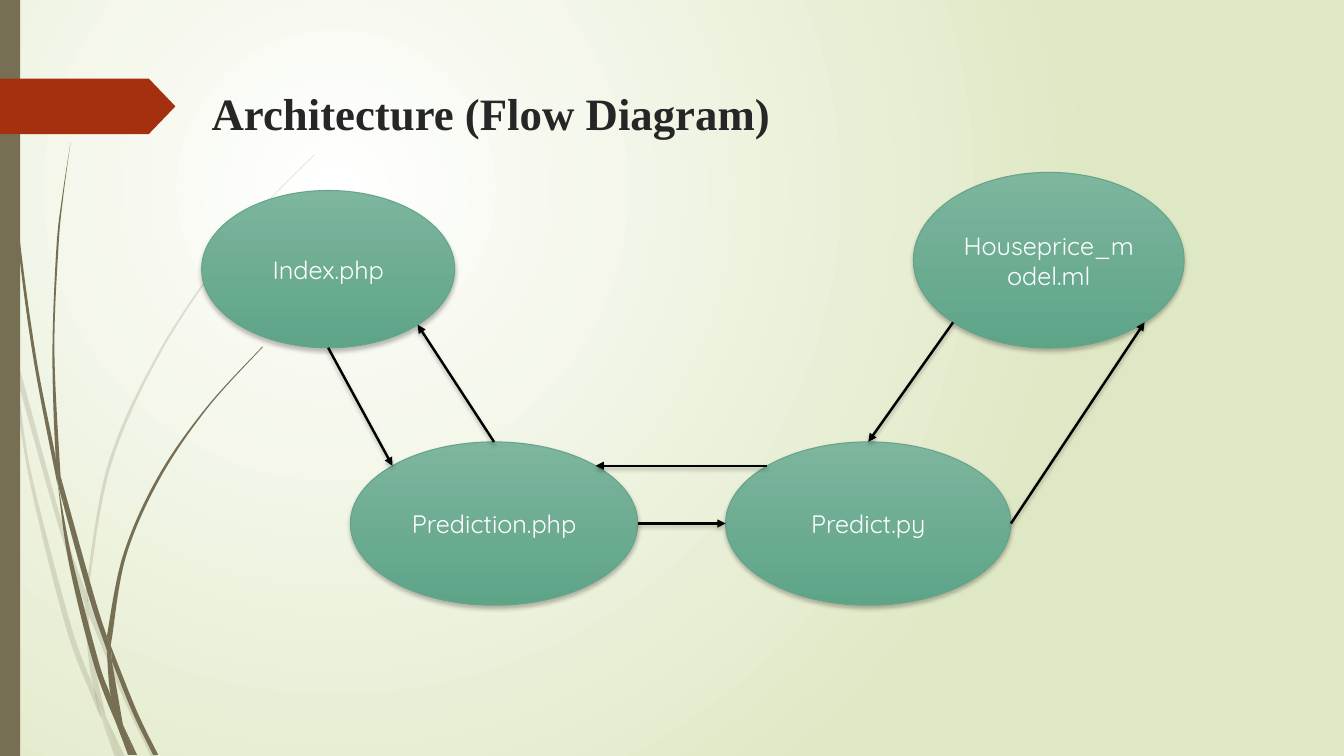
from dataclasses import dataclass
from math import cos, radians, sin

from lxml import etree
from pptx import Presentation
from pptx.dml.color import RGBColor
from pptx.enum.shapes import MSO_CONNECTOR, MSO_SHAPE
from pptx.enum.text import MSO_ANCHOR, PP_ALIGN
from pptx.oxml.ns import qn
from pptx.util import Inches, Pt

STRAIGHT = MSO_CONNECTOR.STRAIGHT
ELLIPSE, BAR, BADGE = MSO_SHAPE.OVAL, MSO_SHAPE.RECTANGLE, MSO_SHAPE.PENTAGON
MIDDLE, CENTER = MSO_ANCHOR.MIDDLE, PP_ALIGN.CENTER

# The slide is a grid of square cells, a hundredth of an inch wide.
COLUMNS, ROWS = 1333, 750
OLIVE, RUST, INK, WHITE, BLACK = "766F54", "A53010", "262626", "FFFFFF", "000000"
MINT, GREEN, GREEN_EDGE, MEADOW = "7DB59D", "5EA588", "65A48B", "DFE8C4"

# Angles on an ellipse, clockwise from its right end
RIGHT, LOWER_RIGHT, BOTTOM, LOWER_LEFT = 0, 45, 90, 135
LEFT, UPPER_LEFT, TOP, UPPER_RIGHT = 180, 225, 270, 315

Point = tuple[float, float]
Edge = list[Point]


@dataclass(frozen=True)
class Node:
    label: str
    column: float
    row: float
    columns: float
    rows: float

    def site(self, angle: int) -> Point:
        """Grid point on the outline at the given angle."""
        return (self.column + self.columns / 2 * (1 + cos(radians(angle))),
                self.row + self.rows / 2 * (1 + sin(radians(angle))))


@dataclass(frozen=True)
class Flow:
    source: Node
    leaves: int
    target: Node
    enters: int


INDEX = Node("Index.php", 200, 189, 251, 156)
PREDICTION = Node("Prediction.php", 347.5, 438.4, 285, 162)
PREDICT = Node("Predict.py", 719.7, 438.4, 283, 162)
MODEL = Node("Houseprice_model.ml", 906, 171, 268.5, 174.3)

FLOWS = [
    Flow(INDEX, BOTTOM, PREDICTION, UPPER_LEFT),
    Flow(PREDICTION, RIGHT, PREDICT, LEFT),
    Flow(PREDICT, RIGHT, MODEL, LOWER_RIGHT),
    Flow(MODEL, LOWER_LEFT, PREDICT, TOP),
    Flow(PREDICT, UPPER_LEFT, PREDICTION, UPPER_RIGHT),
    Flow(PREDICTION, TOP, INDEX, LOWER_RIGHT),
]

# Each piece of grass is a left and a right edge, both from the top down.
FAINT_GRASS: list[tuple[Edge, Edge]] = [
    ([(0, 299), (10, 344), (11, 350)], [(0, 282), (9, 322), (11, 350)]),
    ([(17, 376), (58, 522), (84, 599)], [(14, 345), (62, 520), (85, 586)]),
    ([(88, 610), (123, 694), (150, 751)], [(88, 596), (92, 607), (127, 692), (155, 751)]),
    ([(105, 711), (119, 751)], [(105, 711), (124, 751)]),
    ([(11, 350), (28, 470), (65, 621), (92, 693), (101, 714)],
     [(11, 350), (17, 376), (31, 469), (70, 619), (93, 683), (101, 714)]),
    ([(84, 599), (87, 646), (93, 683), (105, 711)], [(88, 610), (91, 646), (105, 711)]),
    ([(312, 153), (268, 197), (228, 244), (158, 348), (107, 461), (85, 586)],
     [(312, 154), (268, 198), (229, 245), (160, 349), (110, 462), (88, 584), (88, 596)]),
    ([(101, 714), (114, 751)], [(101, 714), (119, 751)]),
    ([(85, 586), (84, 599)], [(88, 596), (88, 610)]),
    ([(93, 683), (99, 707), (119, 751)], [(93, 683), (105, 711), (119, 751)]),
]
DARK_GRASS: list[tuple[Edge, Edge]] = [
    ([(3, 0), (7, 110), (17, 233), (33, 355), (57, 481)],
     [(4, 0), (8, 109), (19, 232), (36, 355), (55, 453), (57, 481)]),
    ([(64, 505), (88, 592), (106, 645)], [(60, 472), (93, 590), (106, 631)]),
    ([(111, 656), (132, 708), (152, 749)], [(110, 641), (136, 706), (157, 749)]),
    ([(57, 477), (68, 557), (93, 659), (117, 722)],
     [(57, 477), (72, 556), (98, 657), (110, 691), (117, 722)]),
    ([(70, 141), (62, 193), (56, 245), (52, 349), (55, 449), (60, 472)],
     [(70, 141), (63, 193), (58, 245), (54, 349), (60, 472)]),
    ([(122, 719), (133, 749)], [(122, 719), (136, 749)]),
    ([(55, 449), (57, 477), (64, 505)], [(55, 449), (60, 472), (64, 505)]),
    ([(260, 344), (204, 405), (156, 474), (122, 551), (106, 631)],
     [(261, 344), (205, 406), (158, 476), (125, 552), (111, 633), (110, 641)]),
    ([(117, 722), (127, 749)], [(117, 722), (131, 749)]),
    ([(106, 645), (110, 691), (122, 719)], [(111, 656), (122, 719)]),
    ([(106, 631), (106, 645)], [(110, 641), (111, 656)]),
    ([(110, 691), (117, 722), (130, 749)], [(110, 691), (122, 719), (133, 749)]),
]


def grid(cells: float) -> int:
    return Inches(cells / 100)


def colour(hex_code: str) -> RGBColor:
    return RGBColor.from_string(hex_code)


def set_gradient(fill, start: str, end: str) -> None:
    fill.gradient()
    for stop, position, hex_code in zip(fill.gradient_stops, (0, 1), (start, end)):
        stop.position = position
        stop.color.rgb = colour(hex_code)


def paint_background(slide) -> None:
    """Radial gradient centred a quarter of the way in and down."""
    set_gradient(slide.background.fill, WHITE, MEADOW)
    gradient = slide.element.find(".//" + qn("a:gradFill"))
    gradient.remove(gradient.find(qn("a:lin")))
    circle = etree.SubElement(gradient, qn("a:path"), {"path": "circle"})
    etree.SubElement(circle, qn("a:fillToRect"),
                     {"l": "50000", "t": "50000", "r": "100000", "b": "100000"})


def paint_flat(shape, hex_code: str, opacity: int = 100) -> None:
    shape.shadow.inherit = False
    shape.fill.solid()
    shape.fill.fore_color.rgb = colour(hex_code)
    shape.line.fill.background()
    if opacity < 100:
        tint = shape.element.spPr.find(".//" + qn("a:srgbClr"))
        etree.SubElement(tint, qn("a:alpha"), {"val": str(opacity * 1000)})


def add_soft_shadow(properties) -> None:
    effects = properties.find(qn("a:effectLst"))
    if effects is None:
        effects = etree.SubElement(properties, qn("a:effectLst"))
    shadow = etree.SubElement(effects, qn("a:outerShdw"), {
        "blurRad": str(Pt(3)), "dist": str(Pt(2)), "dir": "5400000", "rotWithShape": "0"})
    black = etree.SubElement(shadow, qn("a:srgbClr"), {"val": BLACK})
    etree.SubElement(black, qn("a:alpha"), {"val": "25000"})


def write(frame, text: str, font: str, size: int, hex_code: str, bold: bool = False) -> None:
    frame.word_wrap = True
    frame.vertical_anchor = MIDDLE
    run = frame.paragraphs[0].add_run()
    run.text = text
    run.font.name, run.font.size, run.font.bold = font, Pt(size), bold
    run.font.color.rgb = colour(hex_code)


def draw_grass(shapes, left: Edge, right: Edge, opacity: int) -> None:
    """Draw a closed outline whose two edges are smooth cubic curves."""
    outline = [(grid(x), grid(y)) for x, y in left + right[::-1]]
    builder = shapes.build_freeform(*outline[0])
    builder.add_line_segments(outline[1:], close=True)
    piece = builder.convert_to_shape()
    paint_flat(piece, OLIVE, opacity)
    segments = piece.element.spPr.findall(".//" + qn("a:lnTo"))
    for edge, first in ((outline[:len(left)], 0), (outline[len(left):], len(left))):
        padded = [edge[0], *edge, edge[-1]]
        for offset, knots in enumerate(zip(padded, padded[1:], padded[2:], padded[3:])):
            controls = [(b + (c - a) / 6, c - (d - b) / 6, c) for a, b, c, d in zip(*knots)]
            segment = segments[first + offset]
            segment.tag = qn("a:cubicBezTo")
            segment.remove(segment[0])
            for x, y in zip(*controls):
                etree.SubElement(segment, qn("a:pt"), {
                    "x": str(round(x - piece.left)), "y": str(round(y - piece.top))})


def draw_node(shapes, node: Node) -> None:
    ellipse = shapes.add_shape(ELLIPSE, grid(node.column), grid(node.row),
                               grid(node.columns), grid(node.rows))
    set_gradient(ellipse.fill, MINT, GREEN)
    ellipse.fill.gradient_angle = 270
    ellipse.line.color.rgb = colour(GREEN_EDGE)
    ellipse.line.width = Pt(0.75)
    ellipse.shadow.inherit = False
    add_soft_shadow(ellipse.element.spPr)
    write(ellipse.text_frame, node.label, "Quicksand", 18, WHITE)
    ellipse.text_frame.paragraphs[0].alignment = CENTER


def draw_flow(shapes, flow: Flow) -> None:
    ends = flow.source.site(flow.leaves) + flow.target.site(flow.enters)
    arrow = shapes.add_connector(STRAIGHT, *map(grid, ends))
    arrow.line.color.rgb = colour(BLACK)
    arrow.line.width = Pt(1.75)
    properties = arrow.element.spPr
    etree.SubElement(properties.find(qn("a:ln")), qn("a:tailEnd"), {"type": "triangle"})
    add_soft_shadow(properties)


def main() -> None:
    deck = Presentation()
    deck.slide_width, deck.slide_height = grid(COLUMNS), grid(ROWS)
    slide = deck.slides.add_slide(deck.slide_layouts[6])
    shapes = slide.shapes
    paint_background(slide)
    for pieces, opacity in ((FAINT_GRASS, 20), (DARK_GRASS, 100)):
        for left, right in pieces:
            draw_grass(shapes, left, right, opacity)
    paint_flat(shapes.add_shape(BAR, 0, 0, grid(20), grid(ROWS)), OLIVE)
    badge = shapes.add_shape(BADGE, 0, grid(78), grid(174), grid(55))
    badge.adjustments[0] = 0.48
    paint_flat(badge, RUST)
    title = shapes.add_textbox(grid(200), grid(80), grid(975), grid(64))
    write(title.text_frame, "Architecture (Flow Diagram)", "Times New Roman", 32, INK, True)
    for node in (INDEX, PREDICTION, PREDICT, MODEL):
        draw_node(shapes, node)
    for flow in FLOWS:
        draw_flow(shapes, flow)
    deck.save("out.pptx")


if __name__ == "__main__":
    main()
